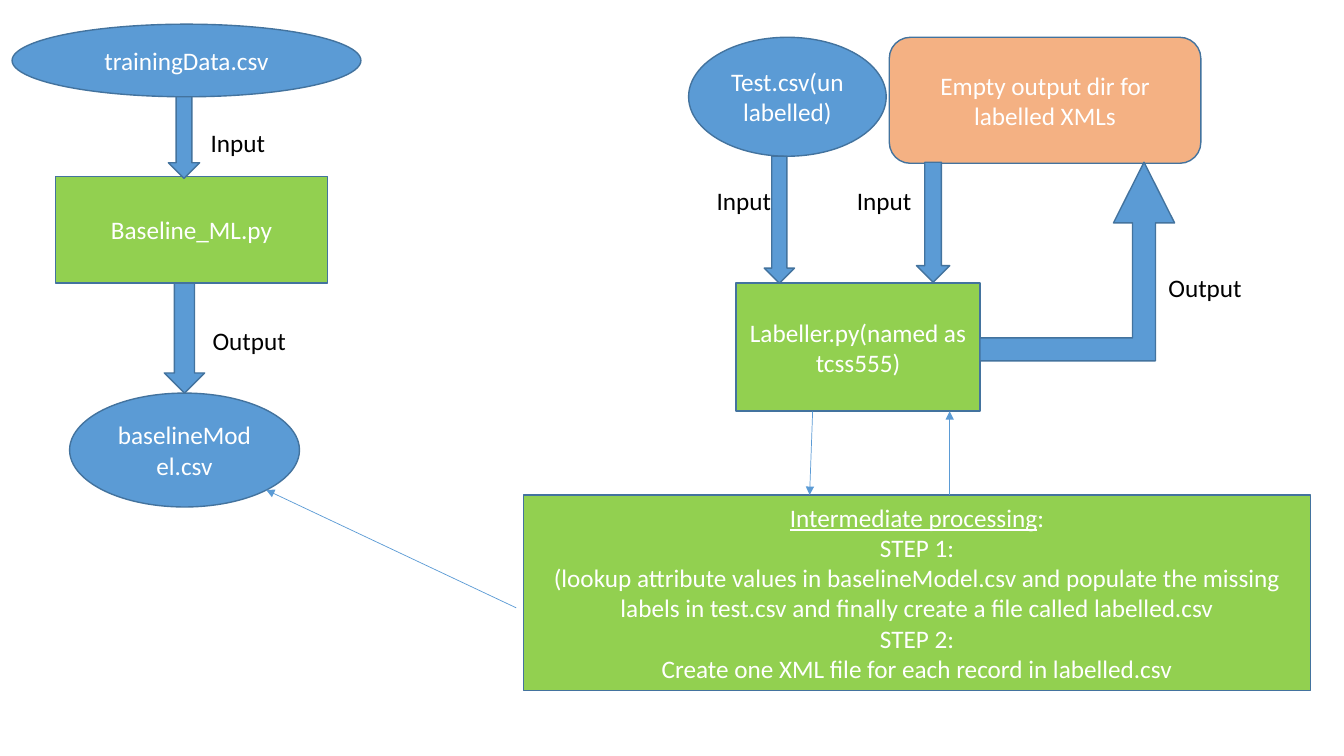
from lxml import etree
from pptx import Presentation
from pptx.dml.color import RGBColor
from pptx.enum import shapes, text
from pptx.oxml.ns import qn
from pptx.util import Inches, Pt

COLORS = {
    "data": "5B9BD5",
    "program": "92D050",
    "folder": "F4B183",
    "outline": "43739E",
    "light": "FFFFFF",
    "dark": "000000",
}
KIND = shapes.MSO_SHAPE


def color(name):
    return RGBColor.from_string(COLORS[name])


def add_span(para, words, ink="light", size=18, underline=None):
    span = para.add_run()
    span.text = words
    span.font.name = "Calibri"
    span.font.size = Pt(size)
    span.font.underline = underline
    span.font.color.rgb = color(ink)


def add_box(page, kind, place, fill, lines=()):
    box = page.shapes.add_shape(kind, *map(Inches, place))
    box.shadow.inherit = False
    box.fill.solid()
    box.fill.fore_color.rgb = color(fill)
    box.line.color.rgb = color("outline")
    box.line.width = Pt(1)
    frame = box.text_frame
    frame.word_wrap = True
    frame.vertical_anchor = text.MSO_ANCHOR.MIDDLE
    for index, line in enumerate(lines):
        para = frame.add_paragraph() if index else frame.paragraphs[0]
        para.alignment = text.PP_ALIGN.CENTER
        for words, underline in line:
            add_span(para, words, underline=underline)
    return box


def add_node(page, kind, place, fill, words):
    return add_box(page, kind, place, fill, [[(words, None)]])


def add_label(page, left, top, width, words):
    box = page.shapes.add_textbox(*map(Inches, (left, top, width, 0.4)))
    frame = box.text_frame
    frame.word_wrap = True
    frame.auto_size = text.MSO_AUTO_SIZE.SHAPE_TO_FIT_TEXT
    add_span(frame.paragraphs[0], words, ink="dark")


def add_arrow(page, start, end):
    arrow = page.shapes.add_connector(
        shapes.MSO_CONNECTOR.STRAIGHT, *map(Inches, start + end))
    arrow.line.color.rgb = color("data")
    arrow.line.width = Pt(0.5)
    etree.SubElement(arrow.line._get_or_add_ln(), qn("a:tailEnd"), type="triangle")
    etree.SubElement(arrow._element.spPr, qn("a:effectLst"))


def add_training(page):
    add_node(page, KIND.RECTANGLE, (0.55, 1.75, 2.7, 1.06), "program", "Baseline_ML.py")
    add_node(page, KIND.OVAL, (0.12, 0.24, 3.46, 0.72), "data", "trainingData.csv")
    add_box(page, KIND.DOWN_ARROW, (1.67, 0.96, 0.31, 0.81), "data")
    add_box(page, KIND.DOWN_ARROW, (1.63, 2.81, 0.4, 1.09), "data")
    add_node(page, KIND.OVAL, (0.69, 3.9, 2.28, 1.13), "data", "baselineModel.csv")
    add_label(page, 1.99, 1.21, 0.84, "Input")
    add_label(page, 2.01, 3.18, 0.96, "Output")


def add_labelling(page):
    add_node(page, KIND.RECTANGLE, (7.3, 2.81, 2.42, 1.27), "program",
             "Labeller.py(named as tcss555)")
    add_node(page, KIND.OVAL, (6.83, 0.37, 1.96, 1.18), "data", "Test.csv(un labelled)")
    add_node(page, KIND.ROUNDED_RECTANGLE, (8.82, 0.37, 3.09, 1.25), "folder",
             "Empty output dir for labelled XMLs")
    add_box(page, KIND.DOWN_ARROW, (7.58, 1.55, 0.3, 1.26), "data")
    add_box(page, KIND.DOWN_ARROW, (9.09, 1.61, 0.33, 1.19), "data")
    output_arrow = add_box(page, KIND.BENT_UP_ARROW, (9.72, 1.61, 1.93, 1.97), "data")
    for index, ratio in enumerate((0.118, 0.157, 0.312)):
        output_arrow.adjustments[index] = ratio
    for left in (7.01, 8.4):
        add_label(page, left, 1.79, 0.84, "Input")
    add_label(page, 11.49, 2.65, 0.96, "Output")


def add_processing(page):
    add_box(page, KIND.RECTANGLE, (5.19, 4.91, 7.81, 1.94), "program", [
        [("Intermediate processing", True), (":", None)],
        [("STEP 1:", None)],
        [("(lookup attribute values in baselineModel.csv and populate the missing "
          "labels in test.csv and finally create a file called labelled.csv", None)],
        [("STEP 2:", None)],
        [("Create one XML file for each record in labelled.csv", None)],
    ])
    add_arrow(page, (8.06, 4.08), (8.03, 4.91))
    add_arrow(page, (5.12, 6.03), (2.64, 4.86))
    add_arrow(page, (9.42, 4.91), (9.42, 4.08))


def main():
    deck = Presentation()
    deck.slide_width = Inches(13.33)
    deck.slide_height = Inches(7.5)
    page = deck.slides.add_slide(deck.slide_layouts[6])
    add_training(page)
    add_labelling(page)
    add_processing(page)
    deck.save("out.pptx")


if __name__ == "__main__":
    main()
